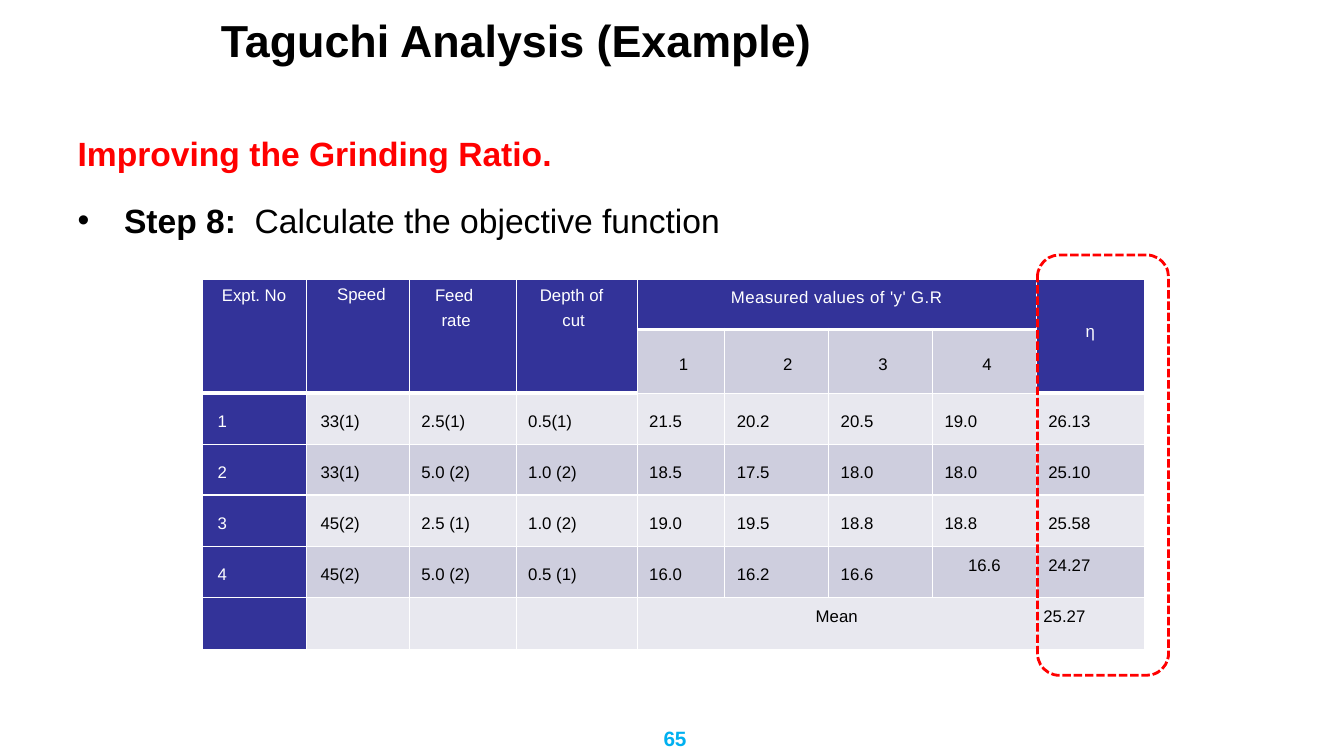
from lxml import etree
from pptx import Presentation
from pptx import util as u
from pptx.dml.color import RGBColor
from pptx.enum import dml, shapes, text
from pptx.oxml import ns

LEFT, CENTER, RIGHT = text.PP_ALIGN.LEFT, text.PP_ALIGN.CENTER, text.PP_ALIGN.RIGHT
JUSTIFY = text.PP_ALIGN.JUSTIFY
TOP, MIDDLE = text.MSO_ANCHOR.TOP, text.MSO_ANCHOR.MIDDLE
EXACT = u.Pt(17.8)

COLUMNS = [1.03, 1.02, 1.06, 1.2, 0.87, 1.03, 1.03, 1.03, 1.07]
ROWS = [0.5, 0.6, 0.51, 0.5, 0.51, 0.51, 0.51]
INDENTS = [0.08, 0.07] + [0.05] * 7
EXPERIMENTS = [
    ["1", "33(1)", "2.5(1)", "0.5(1)", "21.5", "20.2", "20.5", "19.0", "26.13"],
    ["2", "33(1)", "5.0 (2)", "1.0 (2)", "18.5", "17.5", "18.0", "18.0", "25.10"],
    ["3", "45(2)", "2.5 (1)", "1.0 (2)", "19.0", "19.5", "18.8", "18.8", "25.58"],
    ["4", "45(2)", "5.0 (2)", "0.5 (1)", "16.0", "16.2", "16.6", "16.6", "24.27"],
]


def color(value):
    return RGBColor.from_string(value)


class SlideBuilder:
    font = "Arial"
    black, white, red, blue = "000000", "FFFFFF", "FF0000", "00B0F0"
    header, dark_band, light_band = "333399", "CECEDE", "E8E8EF"

    def __init__(self, slide):
        self.slide = slide

    def place(self, shape, left, top, width, height):
        shape.left, shape.top = u.Inches(left), u.Inches(top)
        shape.width, shape.height = u.Inches(width), u.Inches(height)

    def run(self, paragraph, words, size, fill, bold=False, tracking=0):
        run = paragraph.add_run()
        run.text = words
        run.font.name, run.font.size, run.font.bold = self.font, u.Pt(size), bold
        run.font.color.rgb = color(fill)
        if tracking:
            run.font._element.set("spc", str(tracking))

    def title(self, words, *box):
        shape = self.slide.shapes.title
        self.place(shape, *box)
        frame = shape.text_frame
        frame.auto_size, frame.vertical_anchor = text.MSO_AUTO_SIZE.NONE, MIDDLE
        frame.paragraphs[0].alignment = LEFT
        self.run(frame.paragraphs[0], words, 32, self.black, True)

    def body(self, heading, step, sentence, *box):
        shape = self.slide.placeholders[1]
        self.place(shape, *box)
        frame = shape.text_frame
        frame.auto_size = text.MSO_AUTO_SIZE.NONE
        first, second = frame.paragraphs[0], frame.add_paragraph()
        for paragraph, indent, bullet in ((first, 0, None), (second, 0.46, "•")):
            properties = paragraph._p.get_or_add_pPr()
            properties.set("marL", str(u.Inches(indent)))
            properties.set("indent", str(-u.Inches(indent)))
            mark = etree.SubElement(properties, ns.qn("a:buChar" if bullet else "a:buNone"))
            if bullet:
                mark.set("char", bullet)
            paragraph.alignment, paragraph.line_spacing = JUSTIFY, 1.5
        first.space_before, second.space_before = u.Pt(0), u.Pt(4.8)
        self.run(first, heading, 24, self.red, True)
        self.run(second, step, 24, self.black, True)
        self.run(second, sentence, 24, self.black)

    def page_number(self, words, *box):
        frame = self.slide.shapes.add_textbox(*map(u.Inches, box)).text_frame
        frame.word_wrap = True
        frame.paragraphs[0].alignment = CENTER
        self.run(frame.paragraphs[0], words, 14.8, self.blue, True)

    def table(self, left, top):
        box = (left, top, sum(COLUMNS), sum(ROWS))
        frame = self.slide.shapes.add_table(len(ROWS), len(COLUMNS), *map(u.Inches, box))
        table = frame.table
        for column, width in zip(table.columns, COLUMNS):
            column.width = u.Inches(width)
        for row, height in zip(table.rows, ROWS):
            row.height = u.Inches(height)
        return table

    def border(self, cell, bottom):
        properties = cell._tc.get_or_add_tcPr()
        for side, points in (("L", 1), ("R", 1), ("T", 1), ("B", bottom)):
            line = etree.SubElement(properties, ns.qn("a:ln" + side), w=str(u.Pt(points)))
            solid = etree.SubElement(line, ns.qn("a:solidFill"))
            etree.SubElement(solid, ns.qn("a:srgbClr"), val=self.white)

    def cell_style(self, cell, fill, bottom=1):
        self.border(cell, bottom)
        cell.fill.solid()
        cell.fill.fore_color.rgb = color(fill)
        cell.margin_left = cell.margin_right = u.Inches(0.07)
        cell.margin_top = cell.margin_bottom = 0

    def cell_text(self, cell, lines, fill, align=CENTER, indents=(0,), spacing=1.5,
                  anchor=TOP, right=0.07, top=0, tracking=0):
        cell.vertical_anchor = anchor
        cell.margin_right, cell.margin_top = u.Inches(right), u.Inches(top)
        for index, (words, indent) in enumerate(zip(lines, indents)):
            frame = cell.text_frame
            paragraph = frame.add_paragraph() if index else frame.paragraphs[0]
            paragraph._p.get_or_add_pPr().set("marL", str(u.Inches(indent)))
            paragraph.alignment, paragraph.line_spacing = align, spacing
            self.run(paragraph, words, 12, fill, tracking=tracking)

    def dashed_frame(self, *box):
        shape = self.slide.shapes.add_shape(
            shapes.MSO_SHAPE.ROUNDED_RECTANGLE, *map(u.Inches, box))
        shape.shadow.inherit = False
        shape.fill.background()
        shape.line.color.rgb = color(self.red)
        shape.line.width = u.Pt(2)
        shape.line.dash_style = dml.MSO_LINE.SQUARE_DOT


def fill_results(builder, table):
    for row in range(len(ROWS)):
        band = builder.dark_band if row % 2 else builder.light_band
        for column in range(len(COLUMNS)):
            heading = row == 0 or column == 0 or (row == 1 and column not in range(4, 8))
            builder.cell_style(table.cell(row, column),
                               builder.header if heading else band, 1 if row else 3)
    for column in (0, 1, 2, 3, 8):
        table.cell(0, column).merge(table.cell(1, column))
    for row in (0, 6):
        table.cell(row, 4).merge(table.cell(row, 7))

    headings = [(["Expt. No"], (0.1,), 1.35, 0.18),
                (["Speed"], (0.07,), EXACT, 0.07),
                (["Feed", "rate"], (0.07, 0.11), 1.35, 0.31),
                (["Depth of", "cut"], (0.07, 0.11), 1.35, 0.24)]
    for column, (lines, indents, spacing, right) in enumerate(headings):
        builder.cell_text(table.cell(0, column), lines, builder.white,
                          indents=indents, spacing=spacing, right=right)
    builder.cell_text(table.cell(0, 4), ["Measured values of 'y' G.R"],
                      builder.white, tracking=30)
    builder.cell_text(table.cell(0, 8), ["η"], builder.white, top=0.33)
    for trial in range(1, 5):
        align, right = (RIGHT, 0.36) if trial == 2 else (CENTER, 0.07)
        builder.cell_text(table.cell(1, 3 + trial), [str(trial)], builder.black, align,
                          (0.05,), EXACT, MIDDLE, right)

    for row, values in enumerate(EXPERIMENTS, 2):
        for column, value in enumerate(values):
            cell = table.cell(row, column)
            if row == 5 and column >= 7:
                align, indent = (CENTER, 0) if column == 7 else (LEFT, 0.05)
                builder.cell_text(cell, [value], builder.black, align, (indent,))
            else:
                builder.cell_text(cell, [value], builder.black if column else builder.white,
                                  LEFT, (INDENTS[column],), EXACT, MIDDLE)
    builder.cell_text(table.cell(6, 4), ["Mean"], builder.black)
    builder.cell_text(table.cell(6, 8), ["25.27"], builder.black, LEFT)


def main():
    presentation = Presentation()
    presentation.slide_width, presentation.slide_height = u.Inches(13.33), u.Inches(7.5)
    builder = SlideBuilder(presentation.slides.add_slide(presentation.slide_layouts[1]))
    builder.title("Taguchi Analysis (Example)", 2.09, 0.16, 11.23, 0.47)
    builder.body("Improving the Grinding Ratio.", "Step 8: ",
                 " Calculate the objective function", 0.67, 1.07, 12, 5.63)
    builder.page_number("65", 6.16, 7.15, 1.07, 0.41)
    fill_results(builder, builder.table(2.01, 2.77))
    builder.dashed_frame(10.29, 2.53, 1.3, 4.17)
    presentation.save("out.pptx")


if __name__ == "__main__":
    main()
